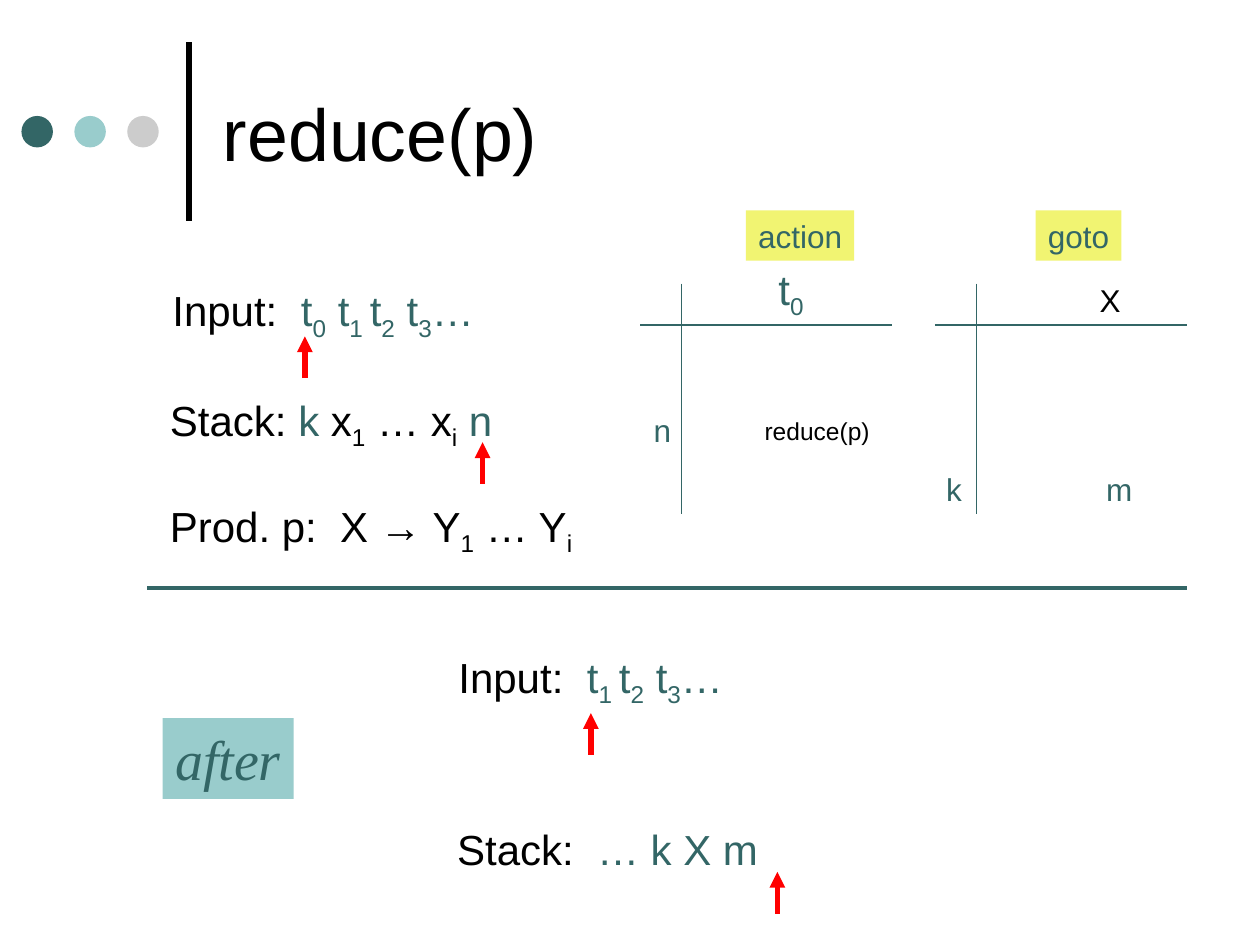
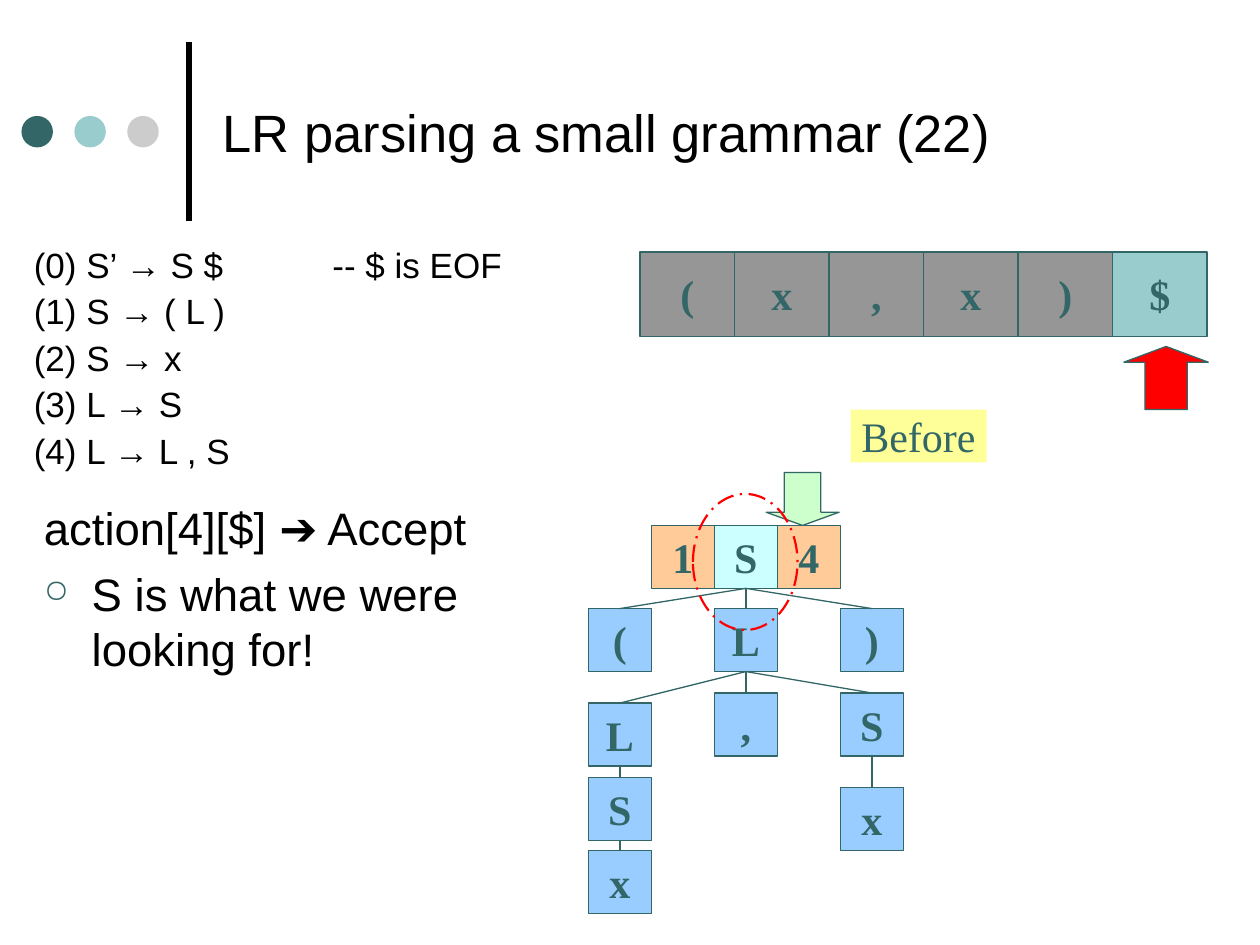
from lxml.etree import SubElement
from pptx import Presentation
from pptx.dml.color import RGBColor
from pptx.enum.dml import MSO_LINE
from pptx.enum.shapes import MSO_CONNECTOR, MSO_SHAPE
from pptx.enum.text import MSO_ANCHOR, MSO_AUTO_SIZE, PP_ALIGN
from pptx.oxml.ns import qn
from pptx.util import Inches, Pt

COLORS = {
    "black": "000000", "teal": "336666", "aqua": "99CCCC", "silver": "CCCCCC",
    "red": "FF0000", "lime": "F1F472", "yellow": "FFFF99", "read": "969696",
    "state": "FFCC99", "symbol": "CCFFFF", "node": "99CCFF", "mint": "CCFFCC",
}
SANS, SERIF = "Arial", "Times New Roman"
BOTTOM, TOP = 2, 0


def rgb(name):
    return RGBColor.from_string(COLORS[name])


def write(para, text, size=24, color="black", font=SANS, bold=False, italic=False):
    """Add text to a paragraph; parts in braces become subscripts."""
    for index, piece in enumerate(text.replace("}", "{").split("{")):
        if not piece:
            continue
        span = para.add_run()
        span.text = piece
        span.font.size = Pt(size)
        span.font.name = font
        span.font.bold = bold
        span.font.italic = italic
        span.font.color.rgb = rgb(color)
        if index % 2:
            span.font._element.set("baseline", "-25000")


def set_indent(para, indent):
    properties = para._p.get_or_add_pPr()
    properties.set("marL", str(Inches(indent)))
    properties.set("indent", str(-Inches(indent)))


def add_bullet(para, char, color, percent):
    properties = para._p.get_or_add_pPr()
    SubElement(SubElement(properties, qn("a:buClr")), qn("a:srgbClr"), val=COLORS[color])
    SubElement(properties, qn("a:buSzPct"), val=str(percent * 1000))
    SubElement(properties, qn("a:buChar"), char=char)


def add_tab(para, position):
    tabs = SubElement(para._p.get_or_add_pPr(), qn("a:tabLst"))
    SubElement(tabs, qn("a:tab"), pos=str(Inches(position)), algn="l")


class Painter:
    """Holds the deck, its style and the current page."""

    def __init__(self):
        self.deck = Presentation()
        self.deck.slide_width = Inches(10)
        self.deck.slide_height = Inches(7.5)
        self.page = None

    def start_page(self, title, size):
        self.page = self.deck.slides.add_slide(self.deck.slide_layouts[6])
        self.line(1.5, 1.75, 1.5, 0.33, color="black", width=3)
        for index, color in enumerate(("teal", "aqua", "silver")):
            self.shape(MSO_SHAPE.OVAL, 0.17 + 0.42 * index, 0.92, 0.25, 0.25, fill=color)
        frame = self.text_box(1.67, 0.21, 7.67, 1.67)
        frame.vertical_anchor = MSO_ANCHOR.MIDDLE
        write(frame.paragraphs[0], title, size=size)

    def shape(self, kind, left, top, width, height, fill=None, line=None, line_width=0.75):
        shape = self.page.shapes.add_shape(
            kind, Inches(left), Inches(top), Inches(width), Inches(height))
        shape.shadow.inherit = False
        if fill:
            shape.fill.solid()
            shape.fill.fore_color.rgb = rgb(fill)
        else:
            shape.fill.background()
        if line:
            shape.line.color.rgb = rgb(line)
            shape.line.width = Pt(line_width)
        else:
            shape.line.fill.background()
        return shape

    def block_arrow(self, kind, left, top, width, height, fill):
        arrow = self.shape(kind, left, top, width, height, fill, "teal")
        arrow.adjustments[0], arrow.adjustments[1] = 0.5, 0.25

    def line(self, x1, y1, x2, y2, color="teal", width=0.75):
        line = self.page.shapes.add_connector(
            MSO_CONNECTOR.STRAIGHT, Inches(x1), Inches(y1), Inches(x2), Inches(y2))
        line.line.color.rgb = rgb(color)
        line.line.width = Pt(width)
        SubElement(line._element.spPr, qn("a:effectLst"))
        return line

    def branch(self, parent, child):
        edge = self.line(0, 0, 1, 1)
        edge.begin_connect(parent, BOTTOM)
        edge.end_connect(child, TOP)

    def pointer(self, x, tip):
        """Red arrow pointing up at a position in the input or stack."""
        arrow = self.line(x, tip + 0.33, x, tip, color="red", width=3)
        SubElement(arrow.line._get_or_add_ln(), qn("a:tailEnd"), type="triangle")

    def text_box(self, left, top, width, height, wrap=True):
        box = self.page.shapes.add_textbox(
            Inches(left), Inches(top), Inches(width), Inches(height))
        box.text_frame.word_wrap = wrap
        return box.text_frame

    def label(self, left, top, width, height, *parts, tab=None, **style):
        """One line of text made of (text, color) parts."""
        frame = self.text_box(left, top, width, height, wrap=False)
        frame.auto_size = MSO_AUTO_SIZE.SHAPE_TO_FIT_TEXT
        para = frame.paragraphs[0]
        if tab:
            add_tab(para, tab)
        for text, color in parts:
            write(para, text, color=color, **style)

    def panel(self, text, left, top, width, height, fill, line=None, **style):
        """Filled rectangle with centred teal text."""
        box = self.shape(MSO_SHAPE.RECTANGLE, left, top, width, height, fill, line)
        frame = box.text_frame
        frame.word_wrap = False
        frame.vertical_anchor = MSO_ANCHOR.MIDDLE
        frame.paragraphs[0].alignment = PP_ALIGN.CENTER
        write(frame.paragraphs[0], text, color="teal", **style)
        return box

    def cell(self, text, left, top, fill, width=0.5, height=0.5):
        return self.panel(text, left, top, width, height, fill, "teal", font=SERIF, bold=True)


def draw_reduce(painter):
    painter.start_page("reduce(p)", 42)

    painter.label(1.27, 2.21, 2.7, 0.56, ("Input:\t", "black"),
                  ("t{0} t{1 }t{2} t{3}…", "teal"), tab=1.02)
    painter.label(1.25, 3.08, 3.58, 0.56, ("Stack:", "black"), (" k ", "teal"),
                  ("x{1} … x{i}", "black"), (" n", "teal"))
    painter.label(1.25, 3.92, 3.75, 0.56, ("Prod. p:\tX → Y{1} … Y{i}", "black"), tab=1.35)

    for left in (5.08, 7.42):
        painter.line(left + 0.33, 2.25, left + 0.33, 4.08)
        painter.line(left, 2.58, left + 2, 2.58)
    painter.panel("action", 5.92, 1.67, 0.86, 0.4, "lime", size=18)
    painter.panel("goto", 8.22, 1.67, 0.68, 0.4, "lime", size=18)
    painter.label(6.08, 2.04, 0.45, 0.56, ("t{0}", "teal"))
    painter.label(5.97, 3.25, 1.1, 0.34, ("reduce(p)", "black"), size=14)
    for text, left, top, width, color in (
        ("n", 5.09, 3.21, 0.34, "teal"),
        ("k", 7.41, 3.68, 0.32, "teal"),
        ("X", 8.63, 2.18, 0.36, "black"),
        ("m", 8.68, 3.68, 0.41, "teal"),
    ):
        painter.label(left, top, width, 0.4, (text, color), size=18)

    painter.line(1.17, 4.67, 9.42, 4.67, width=2.25)
    painter.panel("after", 1.29, 5.7, 1.04, 0.64, "aqua", size=32, font=SERIF, italic=True)
    painter.label(3.54, 5.12, 2.4, 0.56, ("Input:\t", "black"),
                  ("t{1 }t{2} t{3}…", "teal"), tab=1.02)
    painter.label(3.53, 6.49, 2.75, 0.5, ("Stack:\t", "black"), ("… k X m", "teal"), tab=1.11)

    for x, tip in ((2.42, 2.67), (3.83, 3.51), (4.69, 5.66), (6.17, 6.92)):
        painter.pointer(x, tip)


def draw_grammar(painter):
    rules = painter.text_box(0.17, 1.92, 4.27, 1.92)
    for index, rule in enumerate((
        "(0) S’ → S $\t-- $ is EOF", "(1) S → ( L )", "(2) S → x", "(3) L → S", "(4) L → L , S",
    )):
        para = rules.add_paragraph() if index else rules.paragraphs[0]
        add_tab(para, 2.37)
        para.line_spacing = 0.9
        if index:
            para.space_before = Pt(5)
        write(para, rule, size=20)

    verdict = painter.text_box(0.25, 3.92, 4.67, 2.92)
    accept, comment = verdict.paragraphs[0], verdict.add_paragraph()
    add_bullet(comment, "○", "teal", 70)
    comment.space_before = Pt(6.5)
    for para, text in ((accept, "action[4][$] ➔ Accept"),
                       (comment, "S is what we were looking for!")):
        set_indent(para, 0.38)
        write(para, text, size=26)


def draw_parse_tree(painter):
    stack_top = 4.17
    painter.cell("1", 5.17, stack_top, "state")
    painter.cell("4", 6.17, stack_top, "state")
    nodes = {"root": painter.cell("S", 5.67, stack_top, "symbol")}
    left, middle, right = 4.67, 5.67, 6.67
    for name, parent, text, x, y in (
        ("open", "root", "(", left, 4.83),
        ("list", "root", "L", middle, 4.83),
        ("close", "root", ")", right, 4.83),
        ("first list", "list", "L", left, 5.58),
        ("comma", "list", ",", middle, 5.5),
        ("last item", "list", "S", right, 5.5),
        ("first item", "first list", "S", left, 6.17),
        ("first x", "first item", "x", left, 6.75),
        ("last x", "last item", "x", right, 6.25),
    ):
        nodes[name] = painter.cell(text, x, y, "node")
        painter.branch(nodes[parent], nodes[name])


def draw_accept(painter):
    painter.start_page("LR parsing a small grammar (22)", 30)
    draw_grammar(painter)

    for index, token in enumerate("(x,x)$"):
        fill = "aqua" if token == "$" else "read"
        painter.cell(token, 5.08 + 0.75 * index, 2, fill, width=0.75, height=0.67)
    painter.block_arrow(MSO_SHAPE.UP_ARROW, 8.92, 2.75, 0.67, 0.5, "red")
    painter.panel("Before", 6.75, 3.25, 1.08, 0.42, "yellow", font=SERIF)
    painter.block_arrow(MSO_SHAPE.DOWN_ARROW, 6.08, 3.75, 0.58, 0.42, "mint")

    draw_parse_tree(painter)
    ring = painter.shape(MSO_SHAPE.OVAL, 5.5, 3.92, 0.83, 1.08, line="red", line_width=1.25)
    ring.line.dash_style = MSO_LINE.LONG_DASH_DOT


def main():
    painter = Painter()
    draw_reduce(painter)
    draw_accept(painter)
    painter.deck.save("out.pptx")


if __name__ == "__main__":
    main()
